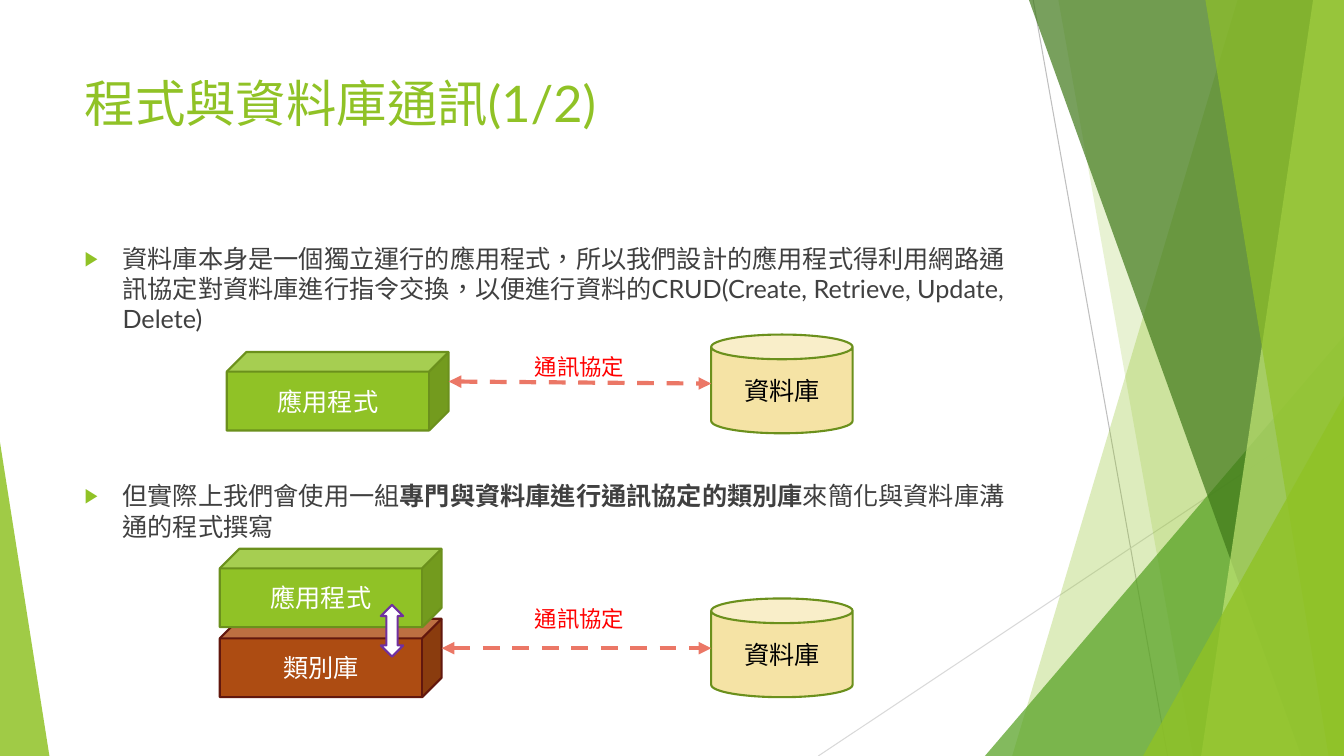
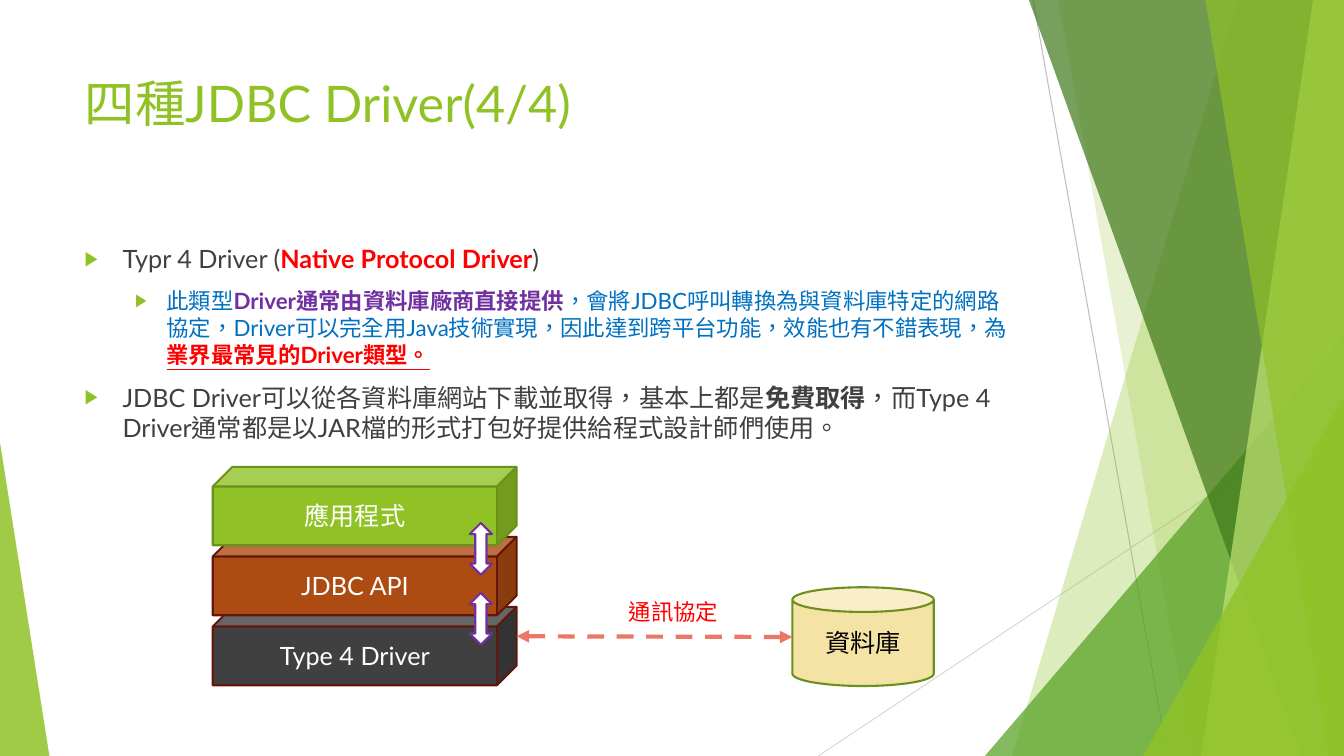
import pptx
import pptx.dml.color
import pptx.enum.dml
import pptx.enum.lang
import pptx.enum.shapes
import pptx.enum.text
import pptx.oxml.ns
import pptx.util
from lxml import etree

Pt = pptx.util.Pt
RGB = pptx.dml.color.RGBColor
SHAPE = pptx.enum.shapes.MSO_SHAPE
ALIGN = pptx.enum.text.PP_ALIGN
ANCHOR = pptx.enum.text.MSO_ANCHOR
qn = pptx.oxml.ns.qn

GREEN = RGB(0x90, 0xC2, 0x26)
MID_GREEN = RGB(0x54, 0xA0, 0x21)
DARK_GREEN = RGB(0x3F, 0x78, 0x19)
PALE_GREEN = RGB(0xC0, 0xE4, 0x74)
EDGE_GREEN = RGB(0x6B, 0x90, 0x1C)
BROWN = RGB(0xAD, 0x4C, 0x12)
EDGE_BROWN = RGB(0x62, 0x17, 0x0D)
SAND = RGB(0xF5, 0xE3, 0xA5)
CORAL = RGB(0xEB, 0x77, 0x66)
GRAY = RGB(0x40, 0x40, 0x40)
LINE_GRAY = RGB(0xBF, 0xBF, 0xBF)
LIGHT_GRAY = RGB(0xD9, 0xD9, 0xD9)
RED = RGB(0xFF, 0, 0)
PURPLE = RGB(0x70, 0x30, 0xA0)
BLUE = RGB(0, 0x70, 0xC0)
WHITE = RGB(0xFF, 0xFF, 0xFF)
BLACK = RGB(0, 0, 0)

FONT = "Lato"
WIDTH, HEIGHT = 960, 540
CUBE_HEIGHT, LAYER_PITCH = 56, 50


def add_run(p, text, size=18, color=GRAY, bold=False, underline=False):
    r = p.add_run()
    r.text = text
    font = r.font
    font.name, font.size, font.bold, font.underline = FONT, Pt(size), bold, underline
    font.color.rgb = color
    font.language_id = pptx.enum.lang.MSO_LANGUAGE_ID.TRADITIONAL_CHINESE
    etree.SubElement(r.font._element, qn("a:ea"), typeface=FONT)


def paint(sp, fill, edge=None, alpha=100):
    """Set fill, opacity in percent and outline; drop the shadow."""
    sp.shadow.inherit = False
    sp.fill.solid()
    sp.fill.fore_color.rgb = fill
    if alpha < 100:
        color = sp.element.spPr.find(qn("a:solidFill"))[0]
        etree.SubElement(color, qn("a:alpha"), val=str(alpha * 1000))
    if edge is None:
        sp.line.fill.background()
    else:
        sp.line.color.rgb = edge
        sp.line.width = Pt(1.5)


def add_line(shapes, start, end, color, width):
    line = shapes.add_connector(pptx.enum.shapes.MSO_CONNECTOR.STRAIGHT,
                                *map(Pt, (*start, *end)))
    line.line.color.rgb = color
    line.line.width = Pt(width)
    etree.SubElement(line.element.spPr, qn("a:effectLst"))
    return line


class Deck:
    """Holds the style, the presentation and the current slide."""

    def __init__(self):
        self.prs = pptx.Presentation()
        self.prs.slide_width, self.prs.slide_height = Pt(WIDTH), Pt(HEIGHT)
        self.slide = None

    def new_slide(self, title):
        first = self.slide is None
        self.slide = self.prs.slides.add_slide(self.prs.slide_layouts[1])
        if first:
            self.decorate_master()
        tf = self.placeholder(0, 48, 104)
        tf.vertical_anchor = ANCHOR.TOP
        p = tf.paragraphs[0]
        p.alignment = ALIGN.LEFT
        add_run(p, title, size=36, color=GREEN)

    def decorate_master(self):
        """Draw the side bands once and move them to the back of the master."""
        group = self.slide.shapes.add_group_shape()
        shapes = group.shapes

        def band(top_x, bottom_x, color, alpha):
            builder = shapes.build_freeform(Pt(top_x), Pt(0))
            corners = [(WIDTH, 0), (WIDTH, HEIGHT), (bottom_x, HEIGHT)]
            builder.add_line_segments([(Pt(x), Pt(y)) for x, y in corners])
            paint(builder.convert_to_shape(), color, alpha=alpha)

        def corner(x, y, width, apex, color, alpha):
            sp = shapes.add_shape(SHAPE.ISOSCELES_TRIANGLE,
                                  *map(Pt, (x, y, width, HEIGHT - y)))
            sp.adjustments[0] = apex
            paint(sp, color, alpha=alpha)

        add_line(shapes, (738, 0), (834, HEIGHT), LINE_GRAY, 0.75)
        add_line(shapes, (WIDTH, 290), (584.5, HEIGHT), LIGHT_GRAY, 0.75)
        band(884, 723, GREEN, 30)
        band(756, 852, GREEN, 20)
        corner(703.5, 240, 256.5, 1, MID_GREEN, 72)
        band(735, 929.5, DARK_GREEN, 70)
        band(938, 858, PALE_GREEN, 70)
        band(861, 949, GREEN, 65)
        corner(816.5, 283, 143.5, 1, GREEN, 80)
        corner(0, 316, 35.3, 0, GREEN, 85)

        for number, props in enumerate(group.element.iter(qn("p:cNvPr")), 100):
            props.set("id", str(number))
        self.prs.slide_master.shapes.element.insert(2, group.element)

    def placeholder(self, index, top, height):
        sp = self.slide.placeholders[index]
        sp.left, sp.top, sp.width, sp.height = map(Pt, (53.3, top, 676.8, height))
        tf = sp.text_frame
        tf.word_wrap = True
        tf.auto_size = pptx.enum.text.MSO_AUTO_SIZE.NONE
        return tf

    def bullets(self, *items):
        """Each item is (level, space before, runs); a run is (text, format)."""
        tf = self.placeholder(1, 170, 305)
        for i, (level, space, runs) in enumerate(items):
            p = tf.add_paragraph() if i else tf.paragraphs[0]
            p.level = level
            p.space_before = Pt(space)
            margin, hang = ((27, 27), (58.5, 22.5))[level]
            pPr = p._p.get_or_add_pPr()
            pPr.set("marL", str(Pt(margin)))
            pPr.set("indent", str(-Pt(hang)))
            color = etree.SubElement(pPr, qn("a:buClr"))
            etree.SubElement(color, qn("a:srgbClr"), val=str(GREEN))
            etree.SubElement(pPr, qn("a:buSzPct"), val="80000")
            etree.SubElement(pPr, qn("a:buChar"), char="▶")
            for text, fmt in runs:
                add_run(p, text, **fmt)

    def shape(self, kind, x, y, width, height, fill, edge, text="", color=WHITE):
        sp = self.slide.shapes.add_shape(kind, *map(Pt, (x, y, width, height)))
        paint(sp, fill, edge)
        if text:
            tf = sp.text_frame
            tf.word_wrap = True
            tf.vertical_anchor = ANCHOR.MIDDLE
            p = tf.paragraphs[0]
            p.alignment = ALIGN.CENTER
            add_run(p, text, color=color)

    def stack(self, x, y, width, layers, arrow_x=0):
        """Pile cubes, listed top down, with an up-down arrow at each joint."""
        for i, (text, fill, edge) in reversed(list(enumerate(layers))):
            self.shape(SHAPE.CUBE, x, y + i * LAYER_PITCH, width, CUBE_HEIGHT,
                       fill, edge, text)
        for i in range(len(layers) - 1):
            self.shape(SHAPE.UP_DOWN_ARROW, arrow_x, y + 40 + i * LAYER_PITCH,
                       16, 37, WHITE, PURPLE)

    def database(self, x, y):
        self.shape(SHAPE.CAN, x, y, 101, 70.5, SAND, EDGE_GREEN, "資料庫", BLACK)

    def protocol(self, start, end, label_x, label_y):
        """Dashed two-way arrow with its label."""
        tb = self.slide.shapes.add_textbox(*map(Pt, (label_x, label_y, 79, 26.6)))
        tb.text_frame.word_wrap = False
        add_run(tb.text_frame.paragraphs[0], "通訊協定", size=16, color=RED)
        line = add_line(self.slide.shapes, start, end, CORAL, 3)
        line.line.dash_style = pptx.enum.dml.MSO_LINE.DASH
        for tag in ("a:headEnd", "a:tailEnd"):
            etree.SubElement(line.line._get_or_add_ln(), qn(tag), type="triangle")


def main():
    deck = Deck()
    app = ("應用程式", GREEN, EDGE_GREEN)
    bold = dict(bold=True)

    deck.new_slide("程式與資料庫通訊(1/2)")
    deck.bullets(
        (0, 0, [("資料庫本身是一個獨立運行的應用程式，所以我們設計的應用程式得利用網路通訊協定"
                 "對資料庫進行指令交換，以便進行資料的CRUD(Create, Retrieve, Update, Delete)", {})]),
        (0, 105, [("但實際上我們會使用一組", {}),
                  ("專門與資料庫進行通訊協定的類別庫", bold),
                  ("來簡化與資料庫溝通的程式撰寫", {})]))
    deck.stack(162, 251.5, 158.5, [app])
    deck.database(508, 239)
    deck.protocol((320.5, 272.5), (508, 274), 375, 248.5)
    deck.stack(157, 392, 158.5, [app, ("類別庫", BROWN, EDGE_BROWN)], arrow_x=272)
    deck.database(508, 427.5)
    deck.protocol((315.5, 463), (508, 463), 375, 429)

    deck.new_slide("四種JDBC Driver(4/4)")
    blue = dict(size=16, color=BLUE)
    deck.bullets(
        (0, 0, [("Typr 4 Driver (", {}),
                ("Native Protocol Driver", dict(color=RED, bold=True)),
                (")", {})]),
        (1, 10, [("此類型", blue),
                 ("Driver通常由資料庫廠商直接提供", dict(size=16, color=PURPLE, bold=True)),
                 ("，會將JDBC呼叫轉換為與資料庫特定的網路協定，Driver可以完全用Java技術實現，"
                  "因此達到跨平台功能，效能也有不錯表現，為", blue),
                 ("業界最常見的Driver類型。",
                  dict(size=16, color=RED, bold=True, underline=True))]),
        (0, 10, [("JDBC Driver可以從各資料庫網站下載並取得，基本上都是", {}),
                 ("免費取得", bold),
                 ("，而Type 4 Driver通常都是以JAR檔的形式打包好提供給程式設計師們使用。", {})]))
    deck.stack(152, 333.5, 217, [app, ("JDBC API", BROWN, EDGE_BROWN),
                                 ("Type 4 Driver", GRAY, EDGE_BROWN)], arrow_x=335.5)
    deck.database(566, 419.5)
    deck.protocol((369, 454.5), (566, 455), 442, 423.5)

    deck.prs.save("out.pptx")


if __name__ == "__main__":
    main()
